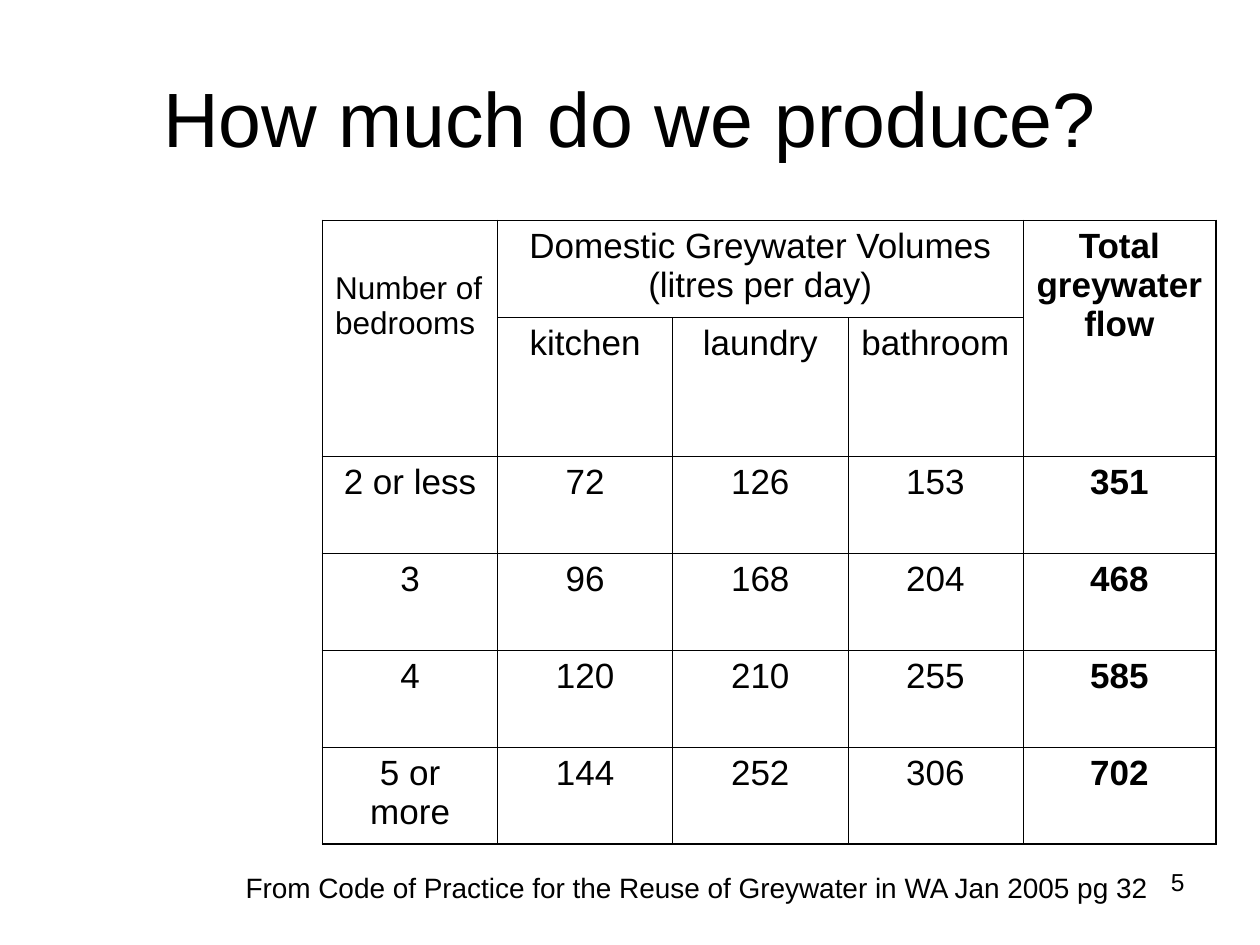
from lxml import etree
from pptx import Presentation, util as u
from pptx.dml.color import RGBColor
from pptx.enum import text
from pptx.oxml.ns import qn

THEME = {
    "font": "Arial", "ink": "000000",
    "title": 44, "body": 20, "row_head": 18, "source": 16, "page": 14,
    "outer_line": 1.08, "inner_line": 0.45,
}
LEFT, CENTER, RIGHT = text.PP_ALIGN.LEFT, text.PP_ALIGN.CENTER, text.PP_ALIGN.RIGHT

# Content: None marks a cell covered by a span
TITLE = "How much do we produce?"
SOURCE = "From Code of Practice for the Reuse of Greywater in WA Jan 2005 pg 32"
PAGE = "5"
VOLUMES = [
    ["Number of bedrooms", "Domestic Greywater Volumes (litres per day)",
     None, None, "Total greywater flow"],
    [None, "kitchen", "laundry", "bathroom", None],
    ["2 or less", "72", "126", "153", "351"],
    ["3", "96", "168", "204", "468"],
    ["4", "120", "210", "255", "585"],
    ["5 or more", "144", "252", "306", "702"],
]
SPANS = [((0, 0), (1, 0)), ((0, 1), (0, 3)), ((0, 4), (1, 4))]
COLUMN_WIDTHS = [1.39] * 4 + [1.53]
ROW_HEIGHTS = [0.77, 1.1] + [0.77] * 4


def write(frame, words, size, align, bold=False):
    paragraph = frame.paragraphs[0]
    paragraph.alignment = align
    run = paragraph.add_run()
    run.text = words
    run.font.name = THEME["font"]
    run.font.size = u.Pt(size)
    run.font.bold = bold
    run.font.color.rgb = RGBColor.from_string(THEME["ink"])


def add_text(slide, box, words, size, align, anchor=text.MSO_ANCHOR.TOP):
    frame = slide.shapes.add_textbox(*map(u.Inches, box)).text_frame
    frame.word_wrap = True
    frame.vertical_anchor = anchor
    write(frame, words, size, align)


def set_borders(cell, outer_sides):
    properties = cell._tc.get_or_add_tcPr()
    for place, side in enumerate("LRTB"):
        width = THEME["outer_line" if side in outer_sides else "inner_line"]
        line = etree.Element(qn(f"a:ln{side}"), w=str(int(u.Pt(width))))
        fill = etree.SubElement(line, qn("a:solidFill"))
        etree.SubElement(fill, qn("a:srgbClr"), val=THEME["ink"])
        properties.insert(place, line)


def add_volumes(slide):
    last_row, last_column = len(VOLUMES) - 1, len(COLUMN_WIDTHS) - 1
    table = slide.shapes.add_table(
        len(VOLUMES), len(COLUMN_WIDTHS), u.Inches(2.56), u.Inches(1.75),
        u.Inches(sum(COLUMN_WIDTHS)), u.Inches(sum(ROW_HEIGHTS))).table
    table.first_row = table.horz_banding = False
    for column, width in zip(table.columns, COLUMN_WIDTHS):
        column.width = u.Inches(width)
    for row, height in zip(table.rows, ROW_HEIGHTS):
        row.height = u.Inches(height)
    for first, last in SPANS:
        table.cell(*first).merge(table.cell(*last))

    for r, row in enumerate(VOLUMES):
        for c, words in enumerate(row):
            cell = table.cell(r, c)
            cell.fill.background()
            edges = {"L": c == 0, "R": c == last_column,
                     "T": r == 0, "B": r == last_row}
            set_borders(cell, [side for side, outer in edges.items() if outer])
            if words is None:
                continue
            row_head = r == c == 0
            # The row heading sits one line lower than the other headings
            cell.margin_top = u.Inches(0.4 if row_head else 0.05)
            write(cell.text_frame, words,
                  THEME["row_head" if row_head else "body"],
                  LEFT if row_head else CENTER, bold=c == last_column)


def main():
    deck = Presentation()
    deck.slide_width, deck.slide_height = u.Inches(10), u.Inches(7.5)
    slide = deck.slides.add_slide(deck.slide_layouts[6])

    # Page number and title
    add_text(slide, (7.17, 6.83, 2.33, 0.52), PAGE, THEME["page"], RIGHT)
    add_text(slide, (0.5, 0.3, 9, 1.25), TITLE, THEME["title"], CENTER,
             text.MSO_ANCHOR.MIDDLE)
    # Greywater table and its source
    add_volumes(slide)
    add_text(slide, (1.85, 6.86, 8.15, 0.37), SOURCE, THEME["source"], LEFT)

    deck.save("out.pptx")


if __name__ == "__main__":
    main()
